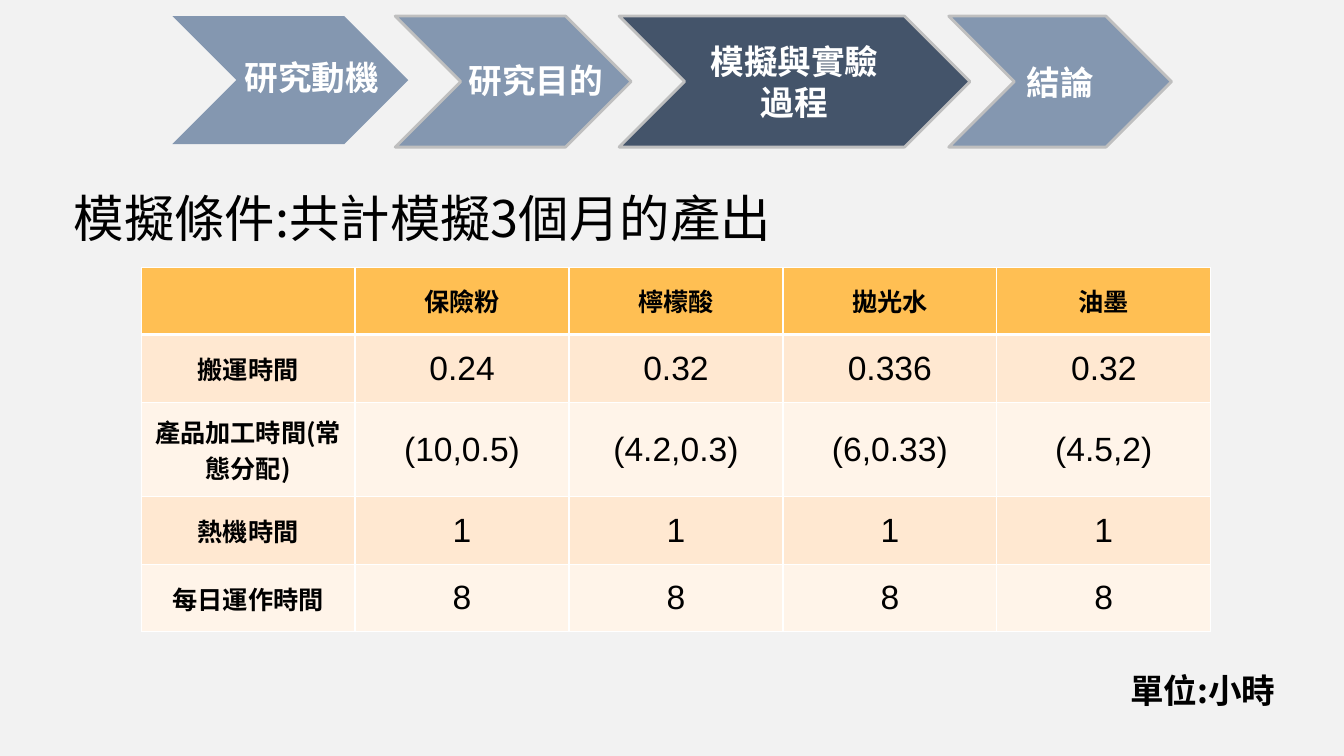
"""Build the simulation conditions slide with its progress chevrons and time table."""
from lxml import etree
from pptx import Presentation
from pptx.dml.color import RGBColor
from pptx.enum import shapes, text
from pptx.oxml import ns
from pptx.util import Inches, Pt

COLORS = {
    "background": "F2F2F2", "step": "8497B0", "current": "44546A", "outline": "BFBFBF",
    "header": "FFBF53", "odd": "FFE8D1", "even": "FFF4E9", "white": "FFFFFF", "black": "000000",
}
SC, TC = "Noto Sans CJK SC", "Noto Sans CJK TC"
MIDDLE, TOP = text.MSO_ANCHOR.MIDDLE, text.MSO_ANCHOR.TOP
CENTER, LEFT = text.PP_ALIGN.CENTER, text.PP_ALIGN.LEFT


def color(name):
    return RGBColor.from_string(COLORS[name])


def write(frame, content, font_name, size, bold, ink, alignment):
    frame.word_wrap = True
    paragraph = frame.paragraphs[0]
    paragraph.alignment = alignment
    run = paragraph.add_run()
    run.text = content
    formats = {"name": font_name, "size": Pt(size), "bold": bold}
    for attribute, value in formats.items():
        setattr(run.font, attribute, value)
    run.font.color.rgb = color(ink)
    east_asian = etree.SubElement(run.font._element, ns.qn("a:ea"))
    east_asian.set("typeface", font_name)
    return paragraph


presentation = Presentation()
presentation.slide_width = Inches(13.33)
presentation.slide_height = Inches(7.5)
slide = presentation.slides.add_slide(presentation.slide_layouts[5])
slide.background.fill.solid()
slide.background.fill.fore_color.rgb = color("background")

title = slide.shapes.title
title_box = {"left": 0.63, "top": 1.81, "width": 11.35, "height": 0.71}
for attribute, value in title_box.items():
    setattr(title, attribute, Inches(value))
title.text_frame.vertical_anchor = TOP
title.text_frame.auto_size = text.MSO_AUTO_SIZE.NONE
write(title.text_frame, "模擬條件:共計模擬3個月的產出", SC, 36, False, "black", LEFT)

rows = [
    ("", "保險粉", "檸檬酸", "拋光水", "油墨"),
    ("搬運時間", "0.24", "0.32", "0.336", "0.32"),
    ("產品加工時間(常態分配)", "(10,0.5)", "(4.2,0.3)", "(6,0.33)", "(4.5,2)"),
    ("熱機時間", "1", "1", "1", "1"),
    ("每日運作時間", "8", "8", "8", "8"),
]
row_heights = [0.67, 0.67, 0.94, 0.67, 0.67]
table = slide.shapes.add_table(
    len(rows), len(rows[0]), Inches(1.4), Inches(2.65), Inches(10.61), Inches(sum(row_heights))
).table
for column in table.columns:
    column.width = Inches(10.61 / len(rows[0]))
for row_index, (values, height) in enumerate(zip(rows, row_heights)):
    table.rows[row_index].height = Inches(height)
    band = "header" if row_index == 0 else ("even", "odd")[row_index % 2]
    for column_index, value in enumerate(values):
        cell = table.cell(row_index, column_index)
        cell.vertical_anchor = MIDDLE
        properties = cell._tc.get_or_add_tcPr()
        for side in ("lnL", "lnR", "lnT", "lnB"):
            thickness = 3 if row_index == 0 and side == "lnB" else 1
            border = etree.SubElement(properties, ns.qn("a:" + side), w=str(Pt(thickness)))
            border_fill = etree.SubElement(border, ns.qn("a:solidFill"))
            etree.SubElement(border_fill, ns.qn("a:srgbClr"), val=COLORS["white"])
        cell.fill.solid()
        cell.fill.fore_color.rgb = color(band)
        if value:
            is_label = row_index == 0 or column_index == 0
            font_name, size = (SC, 18) if is_label else ("Arial", 24)
            write(cell.text_frame, value, font_name, size, is_label, "black", CENTER)

unit = slide.shapes.add_textbox(Inches(11.11), Inches(6.6), Inches(1.8), Inches(0.5))
write(unit.text_frame, "單位:小時", SC, 24, True, "black", LEFT)

steps = [
    ("研究動機", 1.71, 2.34, 1.27, "step", (2.29, 0.16, 1.54, 1.27)),
    ("研究目的", 3.92, 2.34, 1.3, "step", (4.53, 0.18, 1.5, 1.27)),
    ("模擬與實驗過程", 6.14, 3.48, 1.3, "current", None),
    ("結論", 9.41, 2.21, 1.3, "step", None),
]
progress = slide.shapes.add_group_shape().shapes
for index, (label, left, width, height, fill, label_box) in enumerate(steps):
    chevron = progress.add_shape(
        shapes.MSO_SHAPE.CHEVRON, Inches(left), Inches(0.16), Inches(width), Inches(height)
    )
    chevron.shadow.inherit = False
    chevron.fill.solid()
    chevron.fill.fore_color.rgb = color(fill)
    if index == 0:
        chevron.line.fill.background()
    else:
        chevron.line.color.rgb = color("outline")
        chevron.line.width = Pt(2)
    holder = chevron
    if label_box:
        holder = progress.add_textbox(*[Inches(value) for value in label_box])
        margins = {"margin_left": 0.1, "margin_top": 0.03, "margin_right": 0.03, "margin_bottom": 0.03}
        for attribute, value in margins.items():
            setattr(holder.text_frame, attribute, Inches(value))
    holder.text_frame.vertical_anchor = MIDDLE
    paragraph = write(holder.text_frame, label, TC, 24, True, "white", CENTER)
    if label_box:
        paragraph.line_spacing = 0.9

presentation.save("out.pptx")
